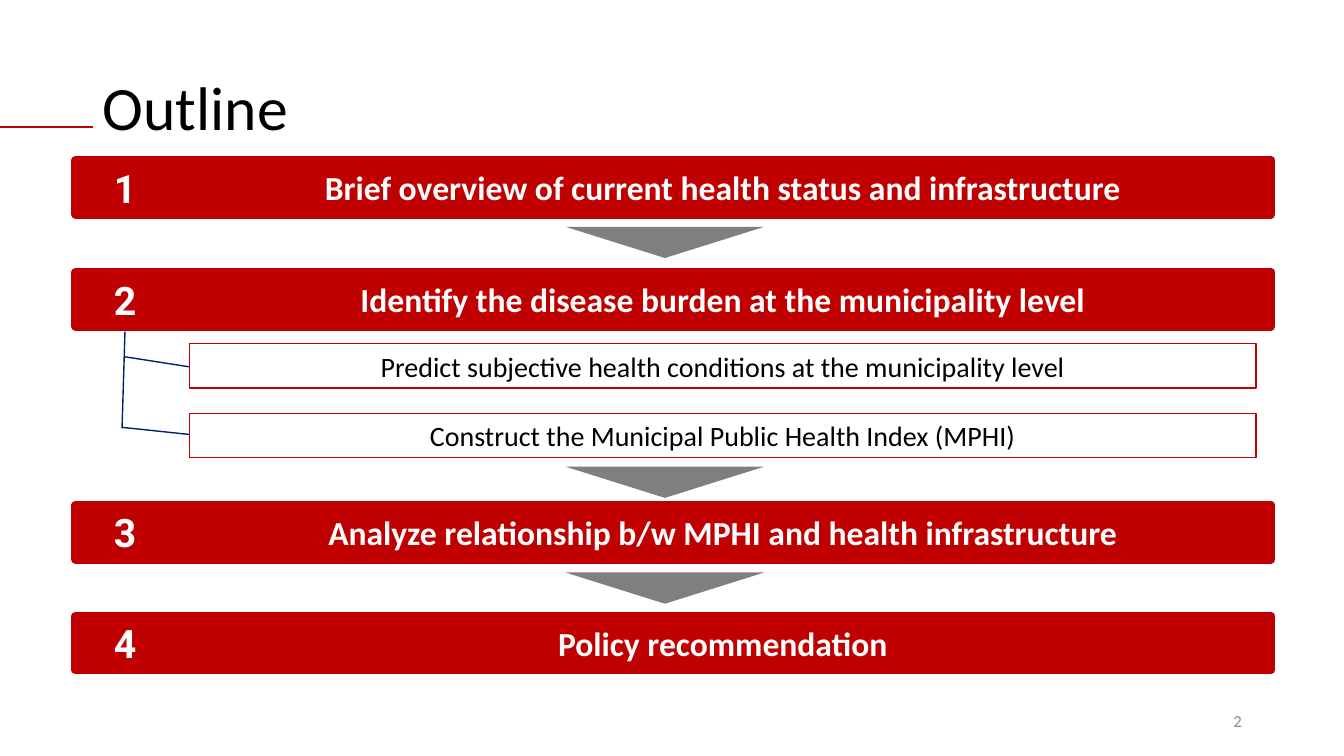
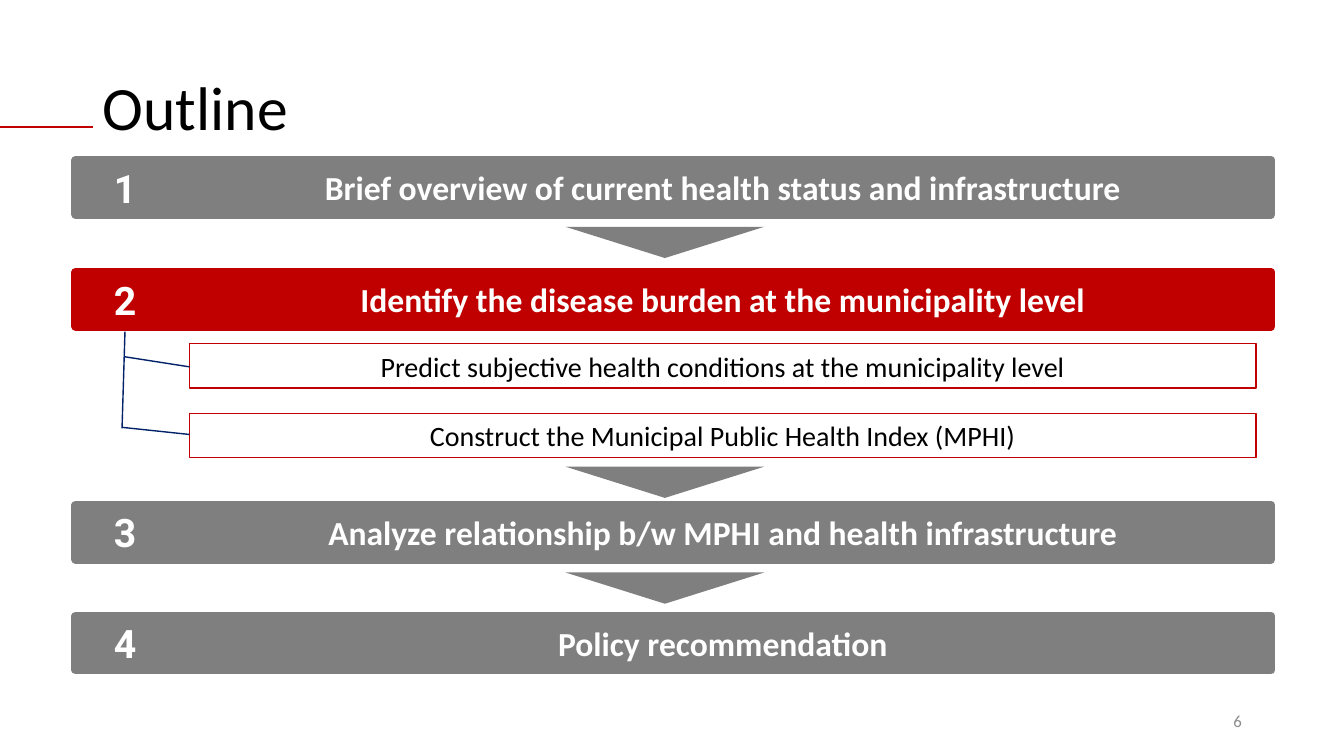
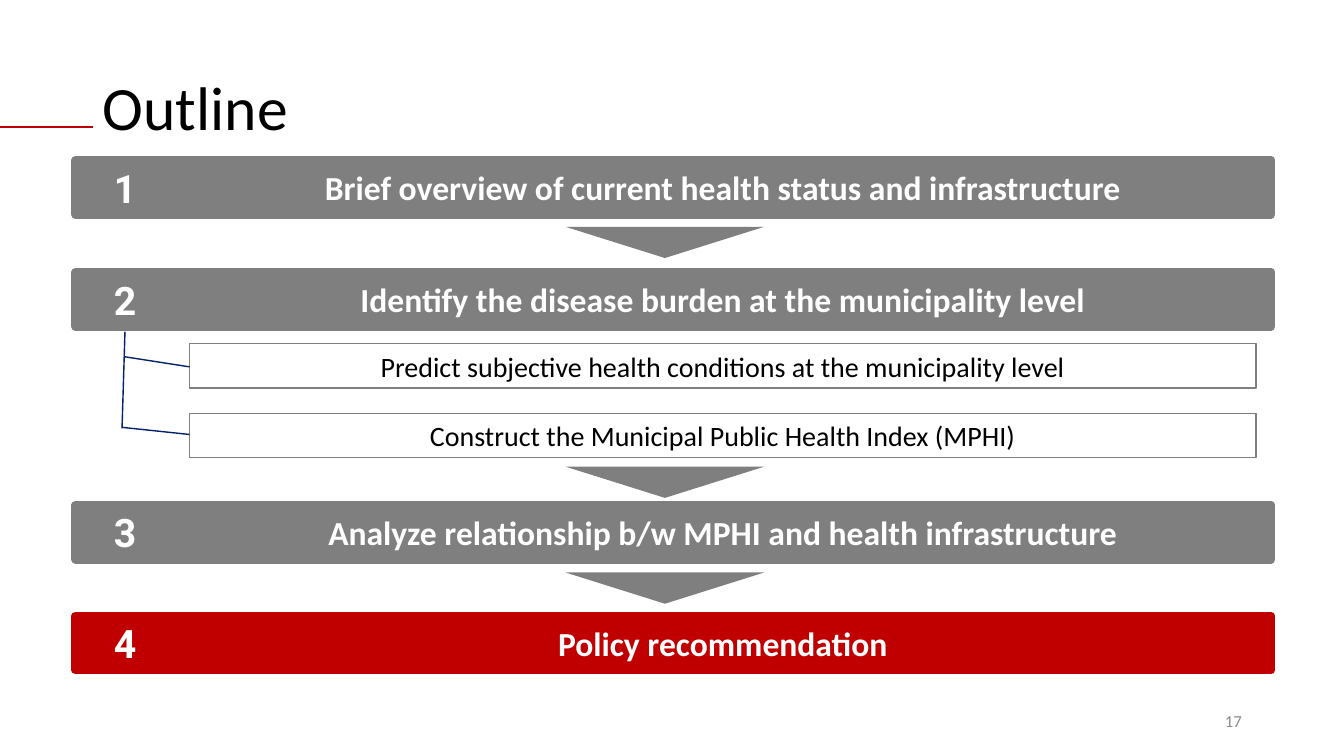
import pptx
import pptx.util
import pptx.dml.color
import pptx.enum.shapes
import pptx.enum.text
import pptx.oxml.ns
import lxml.etree

deck = pptx.Presentation()
deck.slide_width = pptx.util.Inches(13.333)
deck.slide_height = pptx.util.Inches(7.5)

RED, GRAY, NAVY, WHITE, BLACK = "C00000", "7F7F7F", "012169", "FFFFFF", "000000"
SHAPE = pptx.enum.shapes.MSO_SHAPE
ALIGN = pptx.enum.text.PP_ALIGN


def color(hex_value):
    return pptx.dml.color.RGBColor.from_string(hex_value)


def percent(*values):
    sides = (deck.slide_width, deck.slide_height) * 2
    return [round(side * value / 100) for side, value in zip(sides, values)]


STYLES = {
    "title": (ALIGN.LEFT, BLACK, {"name": "Calibri", "size": pptx.util.Pt(44), "bold": False}),
    "number": (ALIGN.CENTER, WHITE, {"name": "Roboto", "size": pptx.util.Pt(28), "bold": True}),
    "heading": (ALIGN.CENTER, WHITE, {"name": "Calibri", "size": pptx.util.Pt(24), "bold": True}),
    "detail": (ALIGN.CENTER, BLACK, {"name": "Calibri", "size": pptx.util.Pt(20), "bold": False}),
    "footer": (ALIGN.RIGHT, "8C8C8C", {"name": "Calibri", "size": pptx.util.Pt(12), "bold": False}),
}

STEPS = [
    (21.2, "Brief overview of current health status and infrastructure"),
    (36, "Identify the disease burden at the municipality level"),
    (66.8, "Analyze relationship b/w MPHI and health infrastructure"),
    (81.47, "Policy recommendation"),
]
DETAILS = [
    (45.47, "Predict subjective health conditions at the municipality level"),
    (54.67, "Construct the Municipal Public Health Index (MPHI)"),
]
ARROW_TOPS = [30, 61.73, 75.73]
TITLE_RULE = (6.9, 16.8, 0, 16.8)
BRANCHES = [(9.3, 43.87, 9.08, 56.67), (14.1, 48.53, 9.3, 47.2), (14.1, 57.47, 9.08, 56.53)]
PAGES = [(2, {1, 2, 3, 4}), (6, {2}), (17, {4})]

layout = deck.slide_layouts[5]
frame = layout.placeholders[0]
frame.left, frame.top, frame.width, frame.height = percent(6.9, 5.33, 86.25, 18.67)

for page_number, active_steps in PAGES:
    page = deck.slides.add_slide(layout)
    step_colors = [RED if step in active_steps else GRAY for step in range(1, len(STEPS) + 1)]
    footer = page.shapes.add_textbox(*percent(70.65, 92.67, 22.5, 5.33))
    texts = [(page.shapes.title, "Outline", "title"), (footer, str(page_number), "footer")]

    rectangles = []
    for step, ((top, heading), fill) in enumerate(zip(STEPS, step_colors), 1):
        rectangles.append(((5.63, top, 7.35, 7.2), fill, fill, 6, str(step), "number"))
        rectangles.append(((12.98, top, 81.6, 7.2), fill, fill, 6, heading, "heading"))
    for top, detail in DETAILS:
        rectangles.append(((14.1, top, 79.35, 5.87), WHITE, step_colors[1], 1, detail, "detail"))

    for place, fill, outline, line_width, text, style in rectangles:
        box = page.shapes.add_shape(SHAPE.RECTANGLE, *percent(*place))
        box.shadow.inherit = False
        box.fill.solid()
        box.fill.fore_color.rgb = color(fill)
        box.line.color.rgb = color(outline)
        box.line.width = pptx.util.Pt(line_width)
        texts.append((box, text, style))

    for top in ARROW_TOPS:
        arrow = page.shapes.add_shape(SHAPE.ISOSCELES_TRIANGLE, *percent(42.08, top, 14.78, 4.13))
        arrow.rotation = 180
        arrow.shadow.inherit = False
        arrow.fill.solid()
        arrow.fill.fore_color.rgb = color(GRAY)
        arrow.line.fill.background()

    lines = [(TITLE_RULE, RED, 1.5)] + [(branch, NAVY, 1) for branch in BRANCHES]
    for ends, stroke, line_width in lines:
        line = page.shapes.add_connector(pptx.enum.shapes.MSO_CONNECTOR.STRAIGHT, *percent(*ends))
        line.line.color.rgb = color(stroke)
        line.line.width = pptx.util.Pt(line_width)
        lxml.etree.SubElement(line.element.spPr, pptx.oxml.ns.qn("a:effectLst"))

    for box, text, style in texts:
        alignment, text_color, font_values = STYLES[style]
        box.text_frame.word_wrap = True
        box.text_frame.vertical_anchor = pptx.enum.text.MSO_ANCHOR.MIDDLE
        para = box.text_frame.paragraphs[0]
        para.alignment = alignment
        if style == "title":
            para.line_spacing = 0.9
        span = para.add_run()
        span.text = text
        span.font.color.rgb = color(text_color)
        for attribute, value in font_values.items():
            setattr(span.font, attribute, value)

deck.save("out.pptx")
